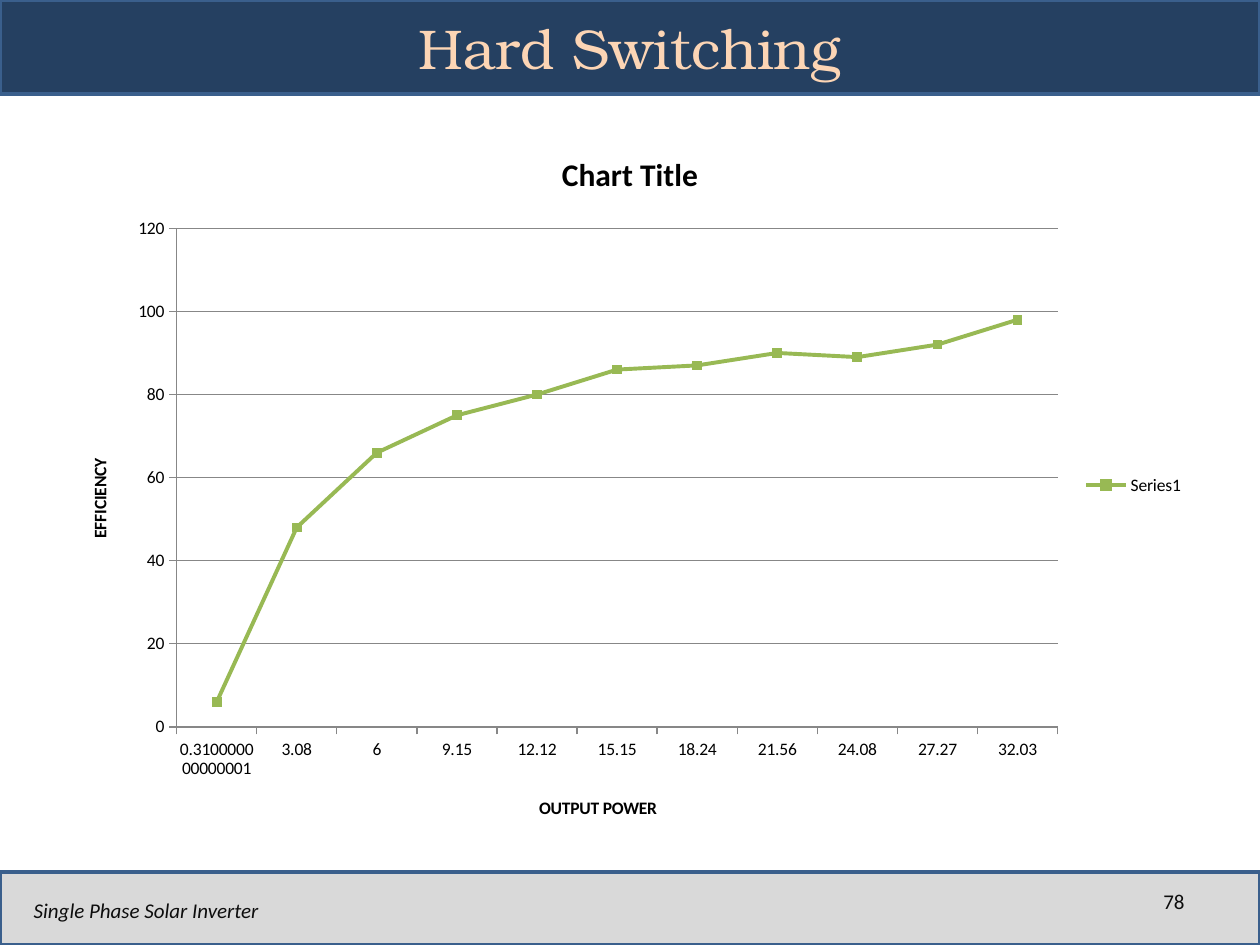
from pptx import Presentation
from pptx import util as u
from pptx.chart import data
from pptx.dml import color
from pptx.enum import chart as charts, shapes, text

WIDTH, HEIGHT = 25.4, 19.05
HEADER_HEIGHT, FOOTER_HEIGHT = 1.9, 1.47
POWER = ["0.310000000000001", "3.08", "6", "9.15", "12.12", "15.15",
         "18.24", "21.56", "24.08", "27.27", "32.03"]
EFFICIENCY = [6, 48, 66, 75, 80, 86, 87, 90, 89, 92, 98]
GREEN, GREY = "98B954", "878787"


def rgb(value):
    return color.RGBColor.from_string(value)


def cm(*lengths):
    return [u.Cm(length) for length in lengths]


def style_font(font, size, shade="000000", name="Calibri", bold=False, italic=False):
    font.size, font.name = u.Pt(size), name
    font.bold, font.italic = bold, italic
    font.color.rgb = rgb(shade)


def write(frame, wording, align=text.PP_ALIGN.LEFT, **style):
    frame.word_wrap = True
    frame.vertical_anchor = text.MSO_ANCHOR.MIDDLE
    para = frame.paragraphs[0]
    para.alignment = align
    span = para.add_run()
    span.text = wording
    style_font(span.font, **style)


def add_bar(page, box, fill):
    bar = page.shapes.add_shape(shapes.MSO_SHAPE.RECTANGLE, *cm(*box))
    bar.shadow.inherit = False
    bar.fill.solid()
    bar.fill.fore_color.rgb = rgb(fill)
    bar.line.color.rgb = rgb("3A5F8C")
    bar.line.width = u.Pt(2)


def add_header(page, box):
    left, top, width, height = box
    add_bar(page, box, "254061")
    title = page.shapes.title
    title.left, title.top, title.width, title.height = cm(
        left + 1.27, top, width - 2.54, height)
    write(title.text_frame, "Hard Switching", text.PP_ALIGN.CENTER,
          size=32, shade="FCD5B5", name="TeX Gyre Bonum")
    # Bring the title in front of its bar
    page.shapes.element.append(title.element)


def add_footer(page, box):
    left, top, width, height = box
    add_bar(page, box, "D9D9D9")
    number = page.shapes.add_textbox(*cm(left + width - 3.81, top + 0.08, 2.54, 1.02))
    write(number.text_frame, "78", text.PP_ALIGN.RIGHT, size=12, shade="0D0D0D")
    label = page.shapes.add_textbox(*cm(left + 0.43, top + 0.25, 8.05, 1.02))
    write(label.text_frame, "Single Phase Solar Inverter",
          size=12, shade="0D0D0D", italic=True)


def title_part(part, wording, size):
    span = part.text_frame.paragraphs[0].add_run()
    span.text = wording
    style_font(span.font, size, bold=True)


def add_efficiency_chart(page, box):
    source = data.CategoryChartData()
    source.categories = POWER
    source.add_series("Series1", EFFICIENCY)
    chart = page.shapes.add_chart(
        charts.XL_CHART_TYPE.LINE_MARKERS_STACKED, *cm(*box), source).chart
    style_font(chart.font, 10)
    chart.has_title = True
    title_part(chart.chart_title, "Chart Title", 18)

    # Axes and grid
    for axis, wording in ((chart.category_axis, "OUTPUT POWER"),
                          (chart.value_axis, "EFFICIENCY")):
        title_part(axis.axis_title, wording, 10)
        axis.major_tick_mark = charts.XL_TICK_MARK.OUTSIDE
        axis.format.line.color.rgb = rgb(GREY)
    scale = chart.value_axis
    scale.minimum_scale, scale.maximum_scale, scale.major_unit = 0, 120, 20
    scale.has_major_gridlines = True
    scale.major_gridlines.format.line.color.rgb = rgb(GREY)

    # Legend
    chart.has_legend = True
    chart.legend.position = charts.XL_LEGEND_POSITION.RIGHT
    chart.legend.include_in_layout = False

    # Curve and markers
    plot = chart.plots[0]
    plot.vary_by_categories = False
    curve = plot.series[0]
    curve.smooth = False
    curve.format.line.color.rgb = rgb(GREEN)
    curve.format.line.width = u.Pt(2.25)
    marker = curve.marker
    marker.style = charts.XL_MARKER_STYLE.SQUARE
    marker.size = 5
    marker.format.fill.solid()
    marker.format.fill.fore_color.rgb = rgb(GREEN)
    marker.format.line.color.rgb = rgb(GREEN)


def main():
    deck = Presentation()
    deck.slide_width, deck.slide_height = cm(WIDTH, HEIGHT)
    page = deck.slides.add_slide(deck.slide_layouts[5])
    add_header(page, (0, 0, WIDTH, HEADER_HEIGHT))
    add_footer(page, (0, HEIGHT - FOOTER_HEIGHT, WIDTH, FOOTER_HEIGHT))
    add_efficiency_chart(page, (1.27, 2.54, WIDTH - 2.54, 14.48))
    deck.save("out.pptx")


if __name__ == "__main__":
    main()
